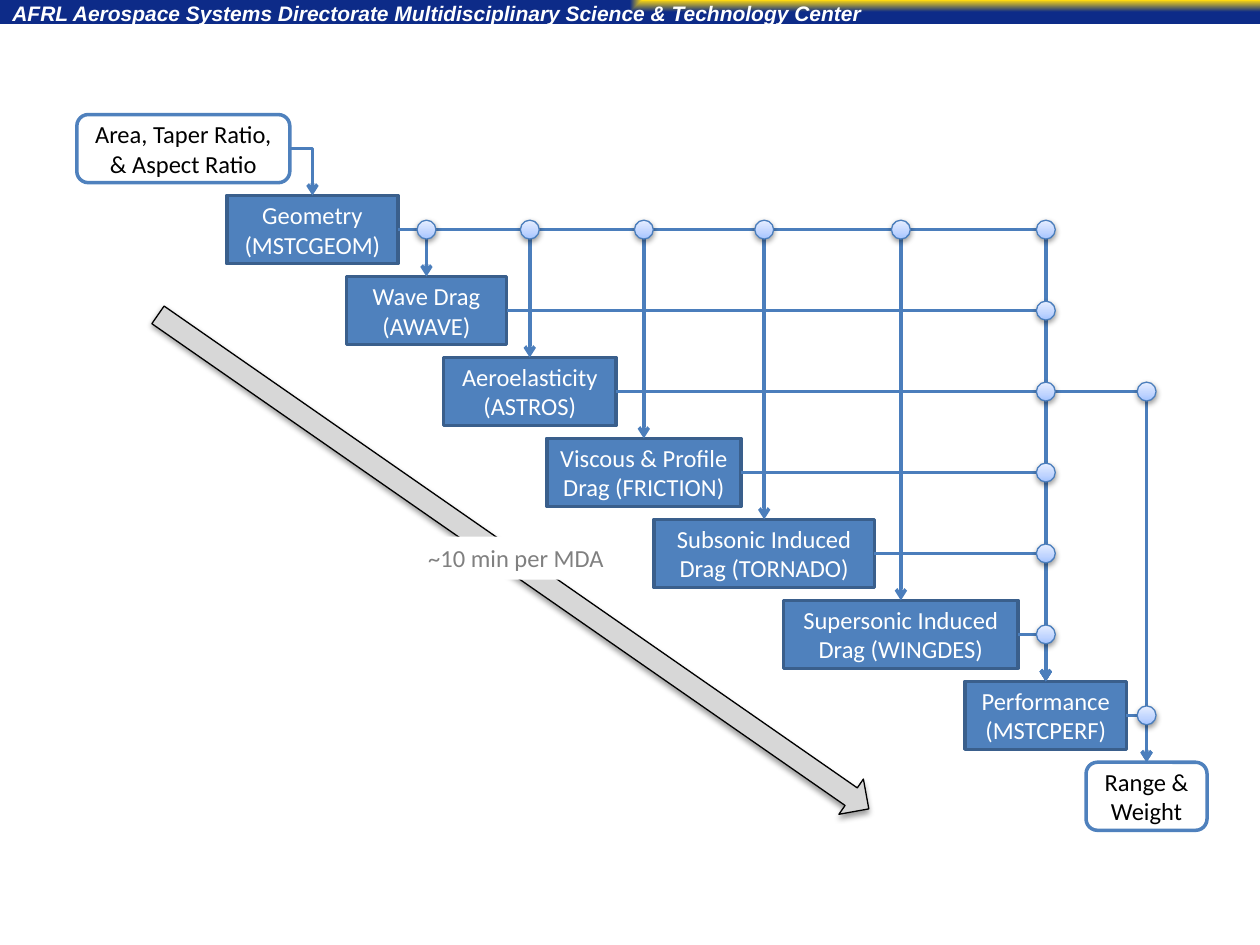
import dataclasses

import pptx
import pptx.dml.color
import pptx.enum.shapes
import pptx.enum.text
import pptx.oxml
import pptx.oxml.ns
import pptx.util

Inches, Pt = pptx.util.Inches, pptx.util.Pt
RGB = pptx.dml.color.RGBColor.from_string
SHAPE = pptx.enum.shapes.MSO_SHAPE
ALIGN = pptx.enum.text.PP_ALIGN
NS = pptx.oxml.ns.nsdecls("a")


@dataclasses.dataclass(frozen=True)
class Theme:
    white: str = "FFFFFF"
    black: str = "000000"
    box: str = "4F81BD"
    box_edge: str = "3A5F8C"
    link: str = "4B7EBC"
    note: str = "808080"
    banner: tuple = ((0, "FED910"), (100, "0D2B88"))
    dot: tuple = ((0, "A4C4FF"), (35, "BFD4FF"), (100, "E6EEFF"))
    arrow: tuple = ((0, "BDBDBD"), (35, "D1D1D1"), (100, "EEEEEE"))
    body_font: str = "Calibri"
    banner_font: str = "Arial"
    body: int = 14
    banner_size: int = 12
    line: float = 2
    thin: float = 0.75


theme = Theme()
UPWARD = '<a:lin ang="16200000" scaled="0"/>'
FROM_TOP_RIGHT = '<a:path path="rect"><a:fillToRect l="100000" b="100000"/></a:path>'


def add_gradient_shape(kind, box, stops, direction, edge=None):
    """Add a gradient shape; an edged one also gets a soft shadow below."""
    sp = s.shapes.add_shape(kind, *map(Inches, box))
    sp.shadow.inherit = False
    gs = "".join(f'<a:gs pos="{pos * 1000}"><a:srgbClr val="{color}"/></a:gs>'
                 for pos, color in stops)
    sp.fill.gradient()
    old = sp.element.spPr.find(pptx.oxml.ns.qn("a:gradFill"))
    old.getparent().replace(old, pptx.oxml.parse_xml(
        f'<a:gradFill {NS} rotWithShape="1"><a:gsLst>{gs}</a:gsLst>{direction}</a:gradFill>'))
    if edge is None:
        sp.line.fill.background()
        return sp
    sp.line.color.rgb = RGB(edge)
    sp.line.width = Pt(theme.thin)
    effects = sp.element.spPr.find(pptx.oxml.ns.qn("a:effectLst"))
    effects.append(pptx.oxml.parse_xml(
        f'<a:outerShdw {NS} blurRad="40000" dist="20000" dir="5400000" rotWithShape="0">'
        f'<a:srgbClr val="{theme.black}"><a:alpha val="38000"/></a:srgbClr></a:outerShdw>'))
    return sp


def write(sp, text, size, font, color, align=None):
    """Put text in a shape, one paragraph per line."""
    tf = sp.text_frame
    tf.text = text
    for p in tf.paragraphs:
        p.alignment = align
        p.font.size = Pt(size)
        p.font.name = font
        p.font.color.rgb = RGB(color)
    return tf


prs = pptx.Presentation()
prs.slide_width, prs.slide_height = Inches(10), Inches(7.5)
s = prs.slides.add_slide(prs.slide_layouts[6])

# Banner
add_gradient_shape(SHAPE.RECTANGLE, (0, 0, 10, 0.19), theme.banner, FROM_TOP_RIGHT)
sp = s.shapes.add_textbox(Inches(0), Inches(-0.01), Inches(7), Inches(0.26))
tf = write(sp, "AFRL Aerospace Systems Directorate Multidisciplinary Science & Technology Center",
           theme.banner_size, theme.banner_font, theme.white)
tf.word_wrap = True
tf.auto_size = pptx.enum.text.MSO_AUTO_SIZE.SHAPE_TO_FIT_TEXT
p = tf.paragraphs[0]
p.line_spacing = 0.8
p.font.bold = p.font.italic = True

# Staircase of steps: name, left, width, text
STEPS = [
    ("input", 0.61, 1.69, "Area, Taper Ratio,\n& Aspect Ratio"),
    ("geometry", 1.8, 1.36, "Geometry\n(MSTCGEOM)"),
    ("wave", 2.75, 1.27, "Wave Drag\n(AWAVE)"),
    ("aero", 3.52, 1.37, "Aeroelasticity (ASTROS)"),
    ("viscous", 4.34, 1.54, "Viscous & Profile Drag (FRICTION)"),
    ("subsonic", 5.19, 1.75, "Subsonic Induced Drag (TORNADO)"),
    ("supersonic", 6.22, 1.86, "Supersonic Induced Drag (WINGDES)"),
    ("performance", 7.66, 1.28, "Performance (MSTCPERF)"),
    ("output", 8.62, 0.96, "Range & Weight"),
]
TOP, HEIGHT = 0.91, 0.54
PITCH = (6.05 - TOP) / (len(STEPS) - 1)
boxes = {}
for row, (name, left, width, text) in enumerate(STEPS):
    is_end = name in ("input", "output")
    kind = SHAPE.ROUNDED_RECTANGLE if is_end else SHAPE.RECTANGLE
    sp = s.shapes.add_shape(kind, Inches(left), Inches(TOP + row * PITCH),
                            Inches(width), Inches(HEIGHT))
    sp.shadow.inherit = False
    sp.fill.solid()
    sp.fill.fore_color.rgb = RGB(theme.white if is_end else theme.box)
    sp.line.color.rgb = RGB(theme.box if is_end else theme.box_edge)
    sp.line.width = Pt(theme.line)
    tf = write(sp, text, theme.body, theme.body_font,
               theme.black if is_end else theme.white, ALIGN.CENTER)
    tf.word_wrap = True
    tf.vertical_anchor = pptx.enum.text.MSO_ANCHOR.MIDDLE
    boxes[name] = sp

# Data links: right side of the source to the top of the target
analyses = [step[0] for step in STEPS[2:7]]
links = [("input", "geometry")]
links += [("geometry", name) for name in analyses]
links += [(name, "performance") for name in ["geometry"] + analyses]
links += [("aero", "output"), ("performance", "output")]
for source, target in links:
    c = s.shapes.add_connector(pptx.enum.shapes.MSO_CONNECTOR.ELBOW, 0, 0, 0, 0)
    c.begin_connect(boxes[source], 3)
    c.end_connect(boxes[target], 0)
    c.line.color.rgb = RGB(theme.link)
    c.line.width = Pt(theme.line)
    spPr = c.element.spPr
    spPr.find(pptx.oxml.ns.qn("a:prstGeom")).set("prst", "bentConnector2")
    spPr.find(pptx.oxml.ns.qn("a:ln")).append(
        pptx.oxml.parse_xml(f'<a:tailEnd {NS} type="arrow"/>'))
    spPr.append(pptx.oxml.parse_xml(f"<a:effectLst {NS}/>"))

# Dots at the corners of the links between steps
DOT = 0.15
steps = {name: (left + width / 2, TOP + row * PITCH + HEIGHT / 2)
         for row, (name, left, width, text) in enumerate(STEPS)}
for source, target in links[1:]:
    x, y = steps[target][0], steps[source][1]
    add_gradient_shape(SHAPE.OVAL, (x - DOT / 2, y - DOT / 2, DOT, DOT),
                       theme.dot, UPWARD, theme.link)

# Run-time arrow and its label
sp = add_gradient_shape(SHAPE.RIGHT_ARROW, (0.64, 4.29, 6.87, 0.34),
                        theme.arrow, UPWARD, theme.black)
sp.rotation = 34.8
sp = s.shapes.add_textbox(Inches(3.3), Inches(4.26), Inches(1.61), Inches(0.34))
sp.fill.solid()
sp.fill.fore_color.rgb = RGB(theme.white)
tf = write(sp, "~10 min per MDA", theme.body, theme.body_font, theme.note)
tf.word_wrap = False
tf.auto_size = pptx.enum.text.MSO_AUTO_SIZE.SHAPE_TO_FIT_TEXT

prs.save("out.pptx")
